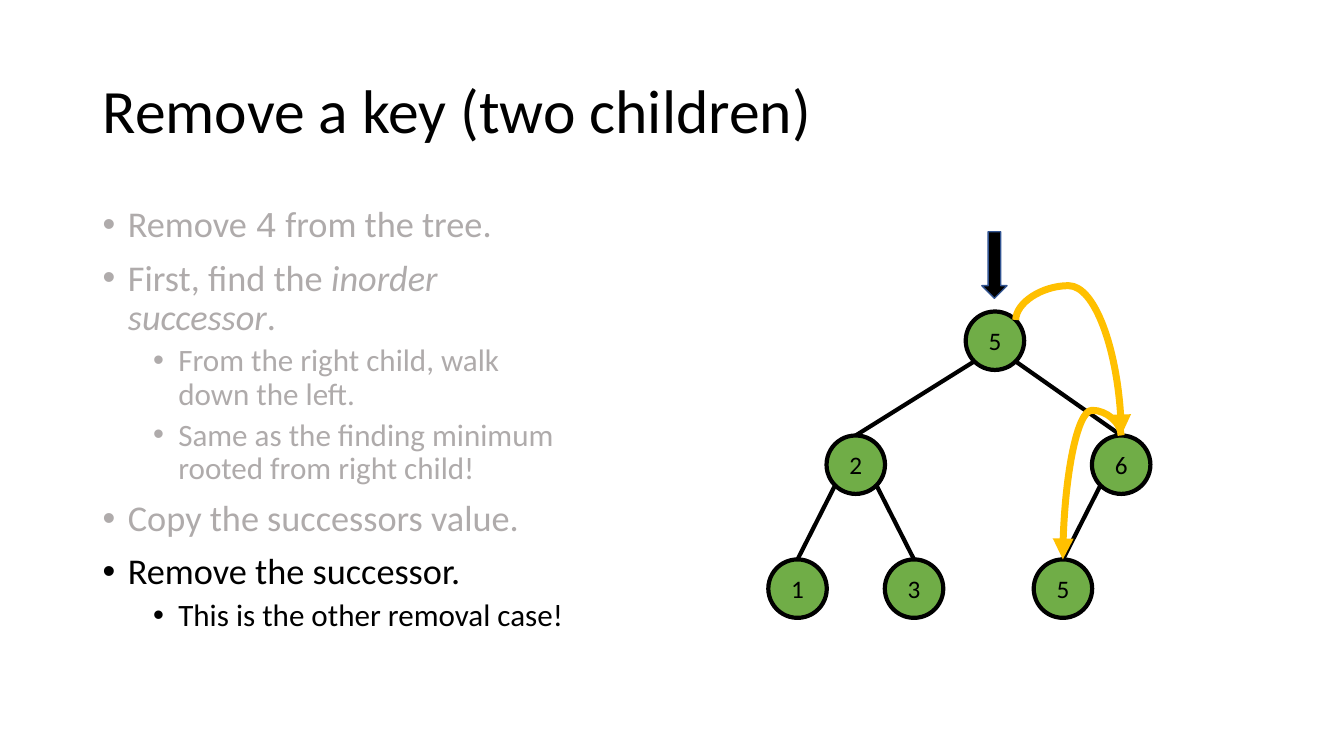
from lxml import etree
from pptx import Presentation
from pptx import util as u
from pptx.dml.color import RGBColor
from pptx.enum import shapes, text
from pptx.oxml.ns import qn

BLACK = RGBColor(0x00, 0x00, 0x00)
GREY = RGBColor(0xAF, 0xAB, 0xAB)
GREEN = RGBColor(0x70, 0xAD, 0x47)
GOLD = RGBColor(0xFF, 0xC0, 0x00)
NAVY = RGBColor(0x32, 0x54, 0x91)

WIDTH, HEIGHT = 13.33, 7.5
TITLE_BOX = (0.92, 0.4, 11.5, 1.45)
STEPS_BOX = (0.92, 2, 4.79, 4.76)
TREE_BOX = (7.62, 3.09, 3.79, 3.04)
NODE = 0.58
DIAGONAL = NODE / 2 * 0.71

STEPS = [
    (0, GREY, [("Remove ", "Calibri", False), ("4", "Courier New", False),
               (" from the tree.", "Calibri", False)]),
    (0, GREY, [("First, find the ", "Calibri", False),
               ("inorder successor", "Calibri", True), (".", "Calibri", False)]),
    (1, GREY, [("From the right child, walk down the left.", "Calibri", False)]),
    (1, GREY, [("Same as the finding minimum rooted from right child!", "Calibri", False)]),
    (0, GREY, [("Copy the successors value.", "Calibri", False)]),
    (0, BLACK, [("Remove the successor.", "Calibri", False)]),
    (1, BLACK, [("This is the other removal case!", "Calibri", False)]),
]

NODES = {
    "root": ("5", 0.61, 0),
    "left": ("2", 0.18, 1),
    "right": ("6", 1, 1),
    "left_left": ("1", 0, 2),
    "left_right": ("3", 0.36, 2),
    "right_left": ("5", 0.82, 2),
}
EDGES = [("left", "left_left"), ("left", "left_right"), ("root", "left"),
         ("root", "right"), ("right", "right_left")]


def inches(*lengths):
    return [u.Inches(n) for n in lengths]


def style_run(r, size, color, font="Calibri", italic=False):
    r.font.size = u.Pt(size)
    r.font.name = font
    r.font.italic = italic
    r.font.color.rgb = color


def add_text(s, box):
    tf = s.shapes.add_textbox(*inches(*box)).text_frame
    tf.word_wrap = True
    return tf


def add_title(s, box):
    tf = add_text(s, box)
    tf.vertical_anchor = text.MSO_ANCHOR.MIDDLE
    p = tf.paragraphs[0]
    p.text = "Remove a key (two children)"
    p.line_spacing = 0.9
    style_run(p.runs[0], 44, BLACK)


def add_steps(s, box):
    tf = add_text(s, box)
    for i, (level, color, parts) in enumerate(STEPS):
        p = tf.add_paragraph() if i else tf.paragraphs[0]
        p.level = level
        p.line_spacing = 0.9
        p.space_before = u.Pt(5 if level else 10)
        pPr = p._p.get_or_add_pPr()
        pPr.set("marL", str(u.Inches(0.25 + 0.5 * level)))
        pPr.set("indent", str(u.Inches(-0.25)))
        etree.SubElement(pPr, qn("a:buFont")).set("typeface", "Arial")
        etree.SubElement(pPr, qn("a:buChar")).set("char", "•")
        for words, font, italic in parts:
            r = p.add_run()
            r.text = words
            style_run(r, 22.2 if level else 25.9, color, font, italic)


def add_line(s, kind, start, end, color, width):
    c = s.shapes.add_connector(kind, *inches(*start, *end))
    c.line.color.rgb = color
    c.line.width = u.Pt(width)
    etree.SubElement(c._element.spPr, qn("a:effectLst"))
    return c


def add_hop(s, start, end, lift):
    (x1, y1), (x2, y2) = start, end
    mid_x, mid_y = (x1 + x2) / 2, (y1 + y2) / 2
    half_w, half_h = (y2 - y1) / 2, (x2 - x1) / 2
    c = add_line(s, shapes.MSO_CONNECTOR.CURVE,
                 (mid_x + half_w, mid_y - half_h),
                 (mid_x - half_w, mid_y + half_h), GOLD, 5)
    spPr = c._element.spPr
    spPr.find(qn("a:xfrm")).set("rot", str(270 * 60000))
    guide = etree.SubElement(spPr.find(qn("a:prstGeom")).find(qn("a:avLst")), qn("a:gd"))
    guide.set("name", "adj1")
    guide.set("fmla", f"val {round(-lift / (y2 - y1) * 100000)}")
    etree.SubElement(c.line._get_or_add_ln(), qn("a:tailEnd")).set("type", "triangle")


def add_filled(s, kind, box, fill, line, width):
    sp = s.shapes.add_shape(kind, *inches(*box))
    sp.shadow.inherit = False
    sp.fill.solid()
    sp.fill.fore_color.rgb = fill
    sp.line.color.rgb = line
    sp.line.width = u.Pt(width)
    return sp


def add_node(s, center, key):
    x, y = center
    sp = add_filled(s, shapes.MSO_SHAPE.OVAL,
                    (x - NODE / 2, y - NODE / 2, NODE, NODE), GREEN, BLACK, 3)
    tf = sp.text_frame
    tf.vertical_anchor = text.MSO_ANCHOR.MIDDLE
    p = tf.paragraphs[0]
    p.text = key
    p.alignment = text.PP_ALIGN.CENTER
    style_run(p.runs[0], 18, BLACK)


def add_tree(s, box):
    left, top, width, height = box
    centers = {name: (left + NODE / 2 + share * (width - NODE),
                      top + NODE / 2 + row * (height - NODE) / 2)
               for name, (key, share, row) in NODES.items()}
    tops = {name: (x, y - NODE / 2) for name, (x, y) in centers.items()}

    for name, center in centers.items():
        add_node(s, center, NODES[name][0])
    for parent, child in EDGES:
        x, y = centers[parent]
        side = DIAGONAL if centers[child][0] > x else -DIAGONAL
        add_line(s, shapes.MSO_CONNECTOR.STRAIGHT,
                 (x + side, y + DIAGONAL), tops[child], BLACK, 3)

    x, y = centers["root"]
    add_filled(s, shapes.MSO_SHAPE.DOWN_ARROW,
               (x - 0.13, top - 0.79, 0.25, 0.66), BLACK, NAVY, 1)
    add_hop(s, (x + DIAGONAL, y - DIAGONAL), tops["right"], 0.34)
    add_hop(s, tops["right"], tops["right_left"], 0.25)


def main():
    prs = Presentation()
    prs.slide_width, prs.slide_height = inches(WIDTH, HEIGHT)
    s = prs.slides.add_slide(prs.slide_layouts[6])
    add_title(s, TITLE_BOX)
    add_steps(s, STEPS_BOX)
    add_tree(s, TREE_BOX)
    prs.save("out.pptx")


if __name__ == "__main__":
    main()
